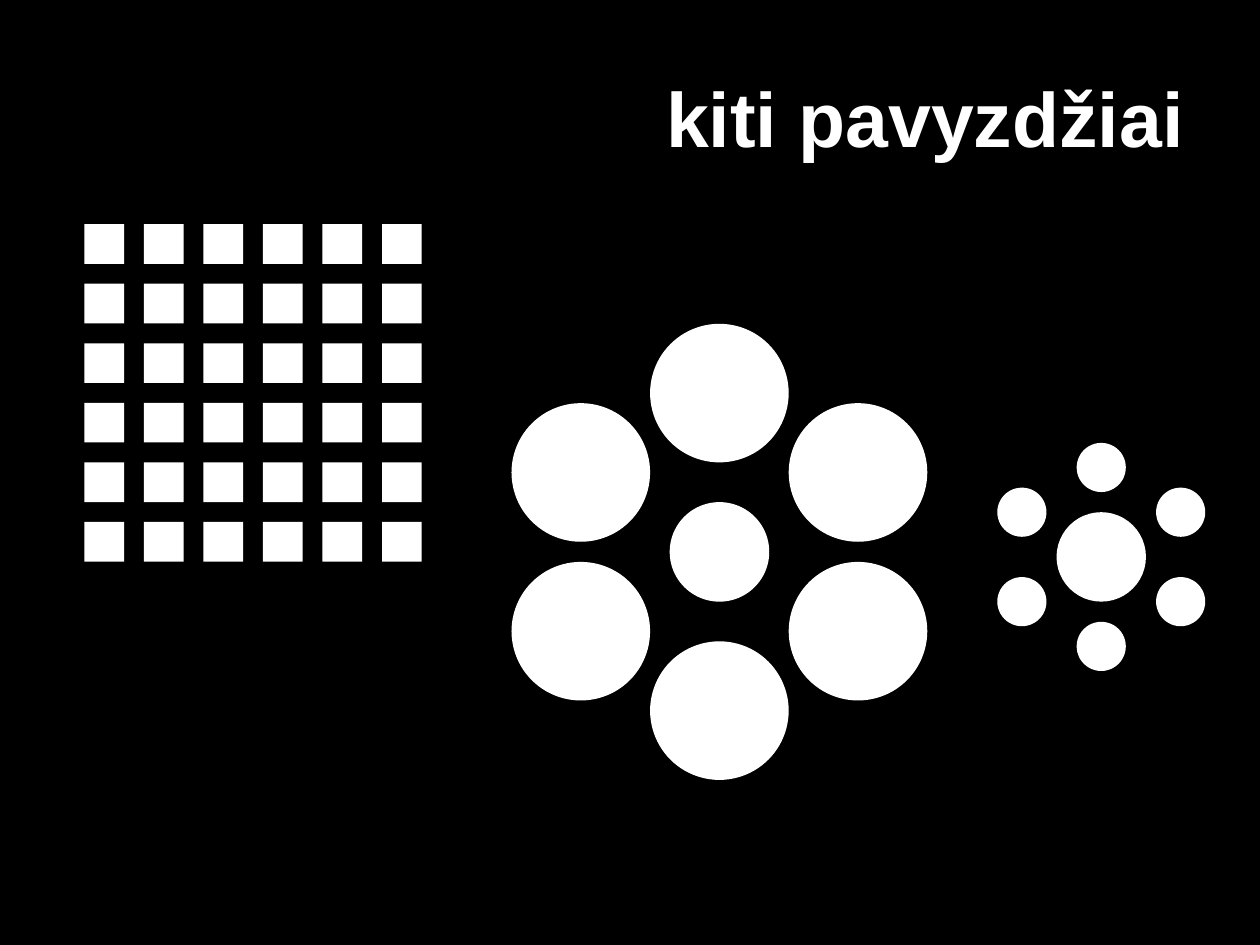
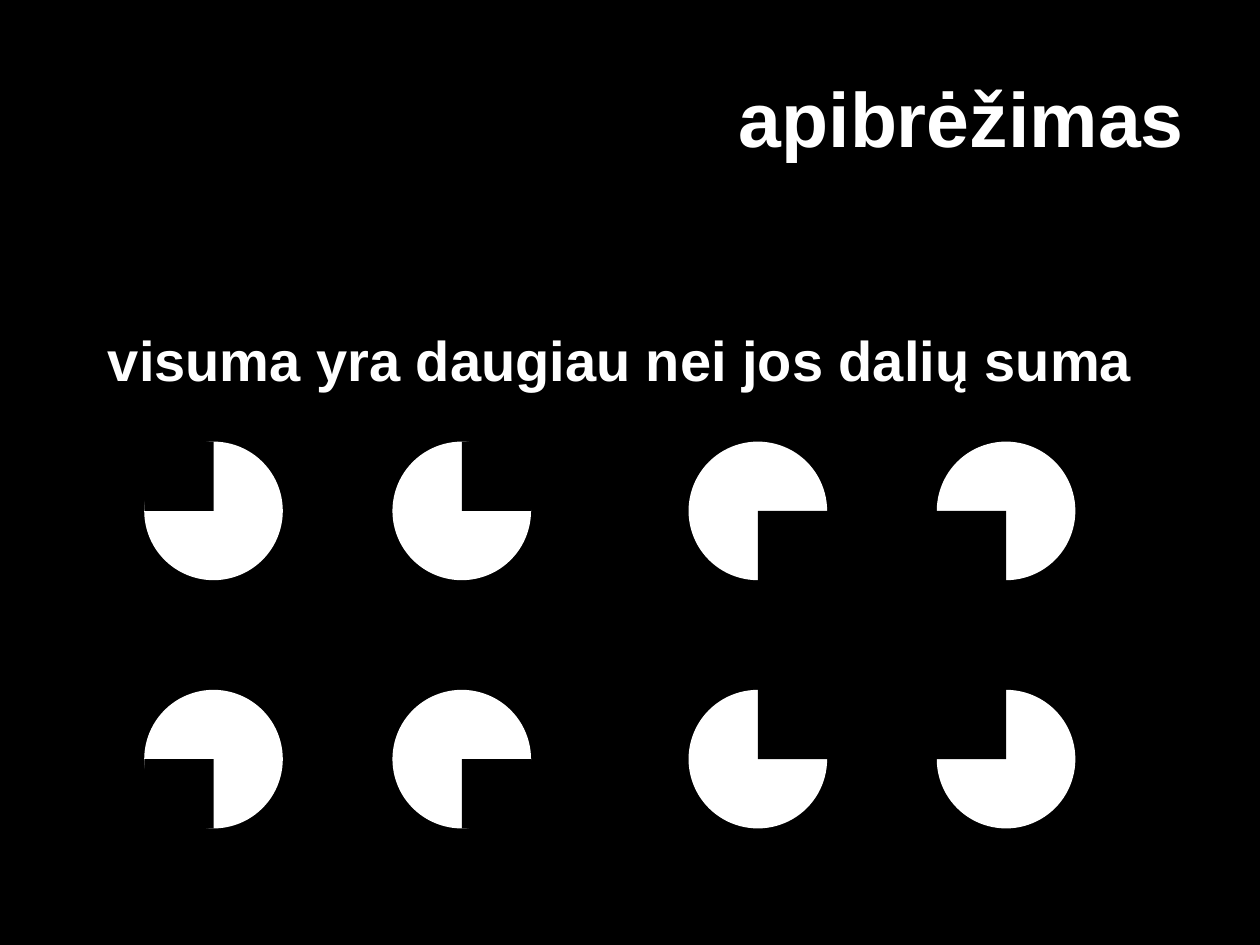
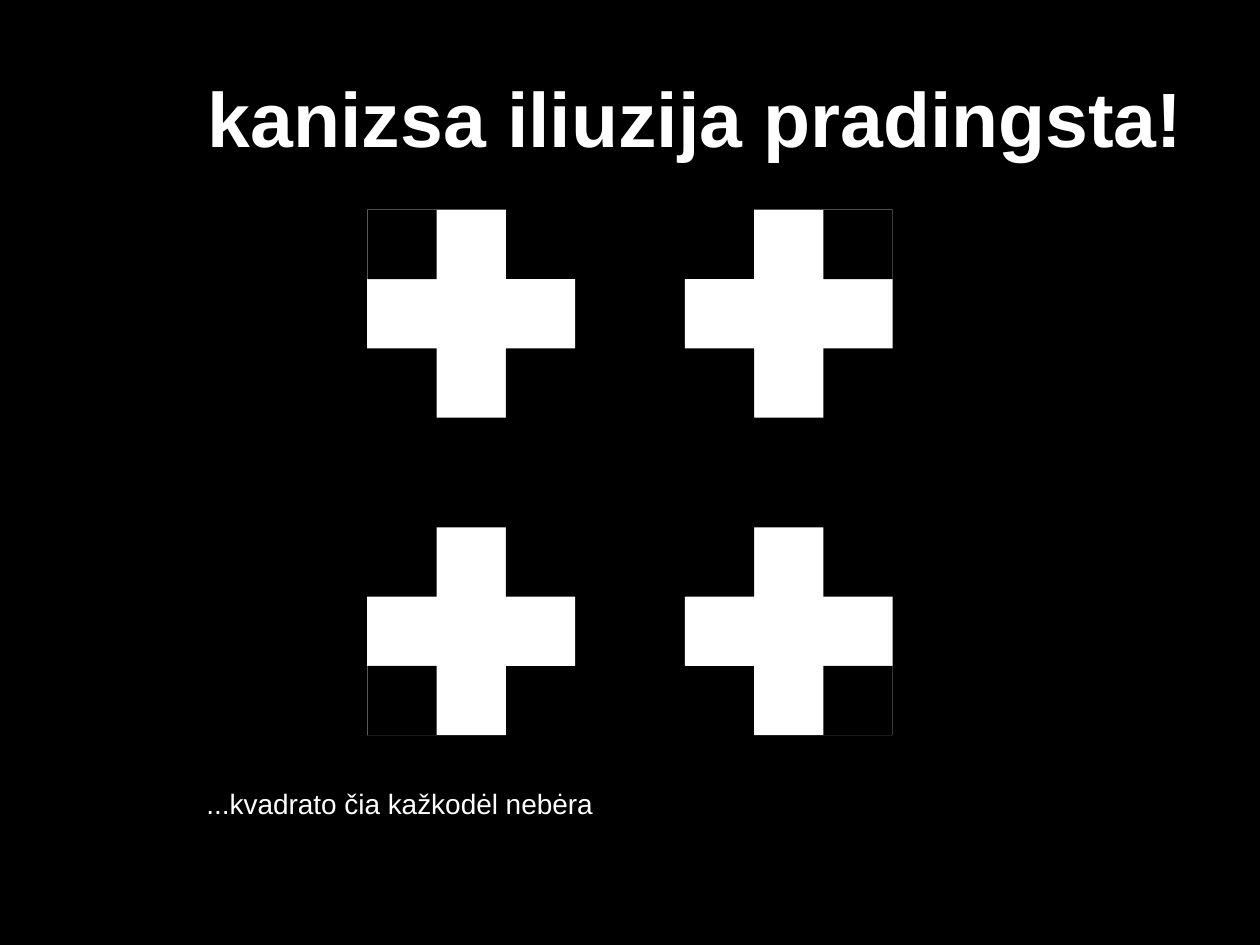
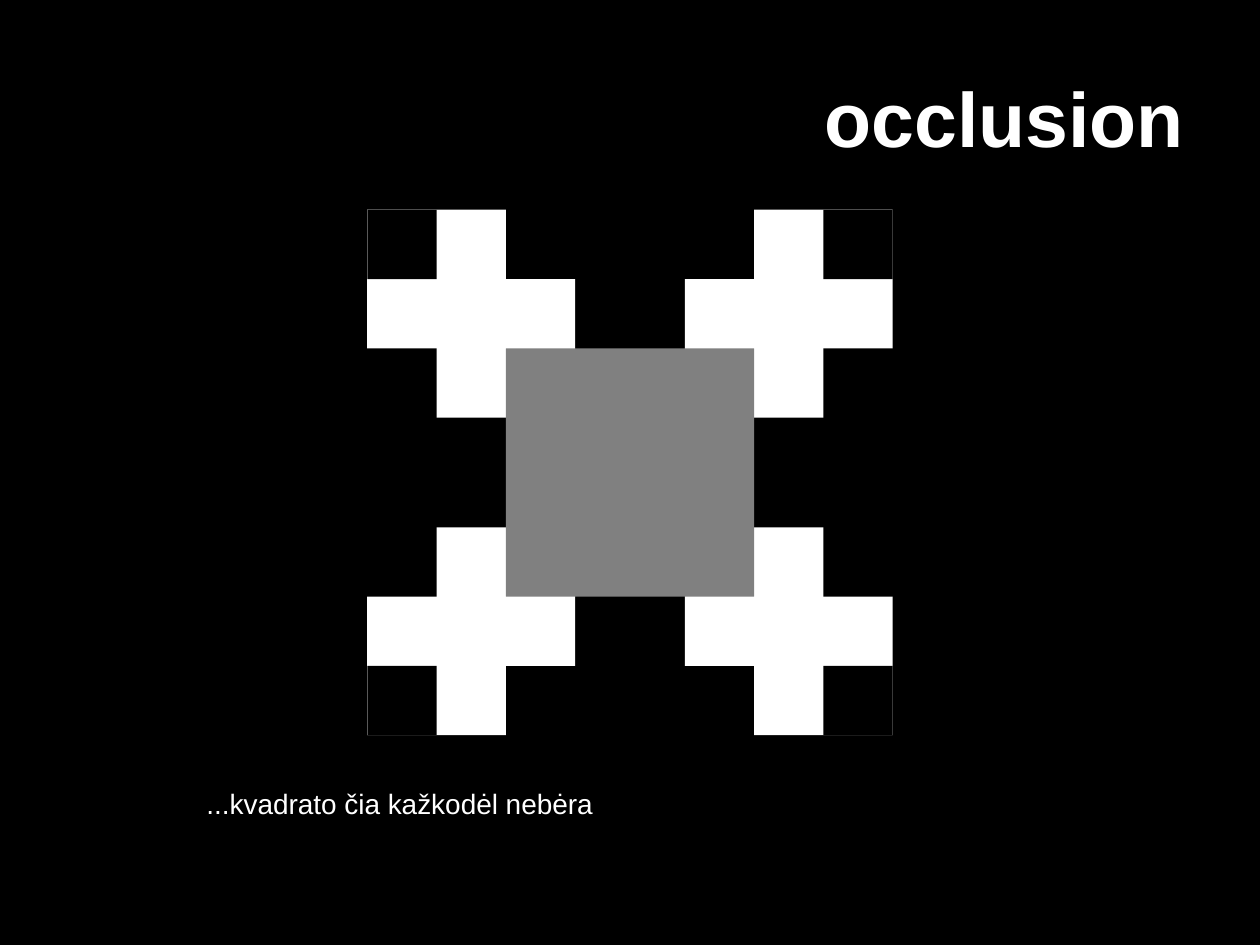
"""Build four slides on Gestalt illusions drawn with discs and squares."""
from dataclasses import dataclass
from itertools import product

from pptx import Presentation
from pptx.dml.color import RGBColor
from pptx.enum import shapes, text
from pptx.util import Inches, Pt

WHITE = RGBColor(0xFF, 0xFF, 0xFF)
BLACK = RGBColor(0x00, 0x00, 0x00)
GRAY = RGBColor(0x80, 0x80, 0x80)
FONT = "Arial"
DISC = shapes.MSO_SHAPE.OVAL
SQUARE = shapes.MSO_SHAPE.RECTANGLE
TITLE_ONLY = 5

BLOCK = 1.1
HALF = BLOCK / 2
GAP_SQUARE = 1.97
INNER = GAP_SQUARE / 2
CROSS_CENTER = (5.0, 3.75)


@dataclass(frozen=True)
class Figure:
    """A disc or square placed by its center, in inches."""
    preset: shapes.MSO_SHAPE
    x: float
    y: float
    size: float
    color: RGBColor = WHITE


@dataclass(frozen=True)
class Label:
    """A text line in a box, in inches and points."""
    words: str
    left: float
    top: float
    width: float
    height: float
    size: float
    bold: bool = False
    align: text.PP_ALIGN = text.PP_ALIGN.LEFT
    inset_top: float = 0.05
    space_before: float = 0


DEFINITION = Label("visuma yra daugiau nei jos dalių suma", 0.43, 1.86, 8.99, 5.12, 32,
                   bold=True, align=text.PP_ALIGN.CENTER, inset_top=0.72)
CAPTION = Label("...kvadrato čia kažkodėl nebėra", 1.54, 6.19, 4.84, 0.78, 16, space_before=3.2)


def square_grid(left: float, top: float, count: int, size: float, pitch: float) -> list[Figure]:
    """Return a square grid of equal squares."""
    return [Figure(SQUARE, left + size / 2 + column * pitch, top + size / 2 + row * pitch, size)
            for row, column in product(range(count), repeat=2)]


def ring(x: float, y: float, petal: float, core: float, dx: float, dy: float) -> list[Figure]:
    """Return six discs around a core disc."""
    offsets = [(0, -2 * dy), (-dx, -dy), (-dx, dy), (dx, -dy), (dx, dy), (0, 2 * dy)]
    petals = [Figure(DISC, x + shift_x, y + shift_y, petal) for shift_x, shift_y in offsets]
    return petals + [Figure(DISC, x, y, core)]


def corners(preset: shapes.MSO_SHAPE, center: tuple[float, float], offset: float,
            size: float, color: RGBColor = WHITE) -> list[Figure]:
    """Return four equal figures at the corners around a center."""
    x, y = center
    return [Figure(preset, x + sign_x * offset, y + sign_y * offset, size, color)
            for sign_y, sign_x in product((-1, 1), repeat=2)]


def crosses(middle: RGBColor) -> list[Figure]:
    """Return four crosses around a middle square."""
    return (corners(SQUARE, CROSS_CENTER, INNER, BLOCK)
            + [Figure(SQUARE, *CROSS_CENTER, GAP_SQUARE, middle)]
            + corners(SQUARE, CROSS_CENTER, INNER + HALF, BLOCK)
            + corners(SQUARE, CROSS_CENTER, INNER + 1.5 * HALF, HALF, BLACK))


def draw(slide, figures: list[Figure], grouped: bool = False) -> None:
    """Draw figures on the slide, in one group if asked."""
    canvas = slide.shapes.add_group_shape().shapes if grouped else slide.shapes
    for figure in figures:
        corner = figure.size / 2
        drawn = canvas.add_shape(figure.preset, Inches(figure.x - corner), Inches(figure.y - corner),
                                 Inches(figure.size), Inches(figure.size))
        drawn.shadow.inherit = False
        drawn.fill.solid()
        drawn.fill.fore_color.rgb = figure.color
        drawn.line.fill.background()


def style(paragraph, size: float, bold: bool, align: text.PP_ALIGN) -> None:
    """Apply the shared white lettering to a paragraph."""
    paragraph.alignment = align
    paragraph.font.name = FONT
    paragraph.font.size = Pt(size)
    paragraph.font.bold = bold
    paragraph.font.color.rgb = WHITE


def add_label(slide, label: Label) -> None:
    """Add a text box for a label."""
    box = slide.shapes.add_textbox(Inches(label.left), Inches(label.top),
                                   Inches(label.width), Inches(label.height))
    frame = box.text_frame
    frame.word_wrap = True
    frame.margin_top = Inches(label.inset_top)
    frame.text = label.words
    line = frame.paragraphs[0]
    line.space_before = Pt(label.space_before)
    style(line, label.size, label.bold, label.align)


def add_titled_slide(deck, heading: str):
    """Add a title-only slide with the shared title style."""
    slide = deck.slides.add_slide(deck.slide_layouts[TITLE_ONLY])
    title = slide.shapes.title
    title.left, title.top = Inches(0.5), Inches(0.3)
    title.width, title.height = Inches(9), Inches(1.25)
    frame = title.text_frame
    frame.text = heading
    frame.auto_size = text.MSO_AUTO_SIZE.NONE
    frame.vertical_anchor = text.MSO_ANCHOR.MIDDLE
    style(frame.paragraphs[0], 44, True, text.PP_ALIGN.RIGHT)
    return slide


def main() -> None:
    """Build and save the deck."""
    deck = Presentation()
    deck.slide_width, deck.slide_height = Inches(10), Inches(7.5)
    backdrop = deck.slide_master.background.fill
    backdrop.solid()
    backdrop.fore_color.rgb = BLACK

    examples = add_titled_slide(deck, "kiti pavyzdžiai")
    draw(examples, square_grid(0.67, 1.78, 6, 0.315, 0.4725), grouped=True)
    draw(examples, ring(5.71, 4.38, BLOCK, 0.79, 1.1, 0.63))
    draw(examples, ring(8.74, 4.42, 0.39, 0.71, 0.63, 0.355))

    definition = add_titled_slide(deck, "apibrėžimas")
    add_label(definition, DEFINITION)
    hidden_square, loose_discs = (7.0, 5.04), (2.68, 5.04)
    draw(definition, corners(DISC, hidden_square, INNER, BLOCK)
         + [Figure(SQUARE, *hidden_square, GAP_SQUARE, BLACK)], grouped=True)
    draw(definition, corners(DISC, loose_discs, INNER, BLOCK)
         + corners(SQUARE, loose_discs, INNER + HALF / 2, HALF, BLACK), grouped=True)

    vanishing = add_titled_slide(deck, "kanizsa iliuzija pradingsta!")
    draw(vanishing, crosses(BLACK), grouped=True)
    add_label(vanishing, CAPTION)

    occlusion = add_titled_slide(deck, "occlusion")
    draw(occlusion, crosses(GRAY))
    add_label(occlusion, CAPTION)

    deck.save("out.pptx")


if __name__ == "__main__":
    main()
